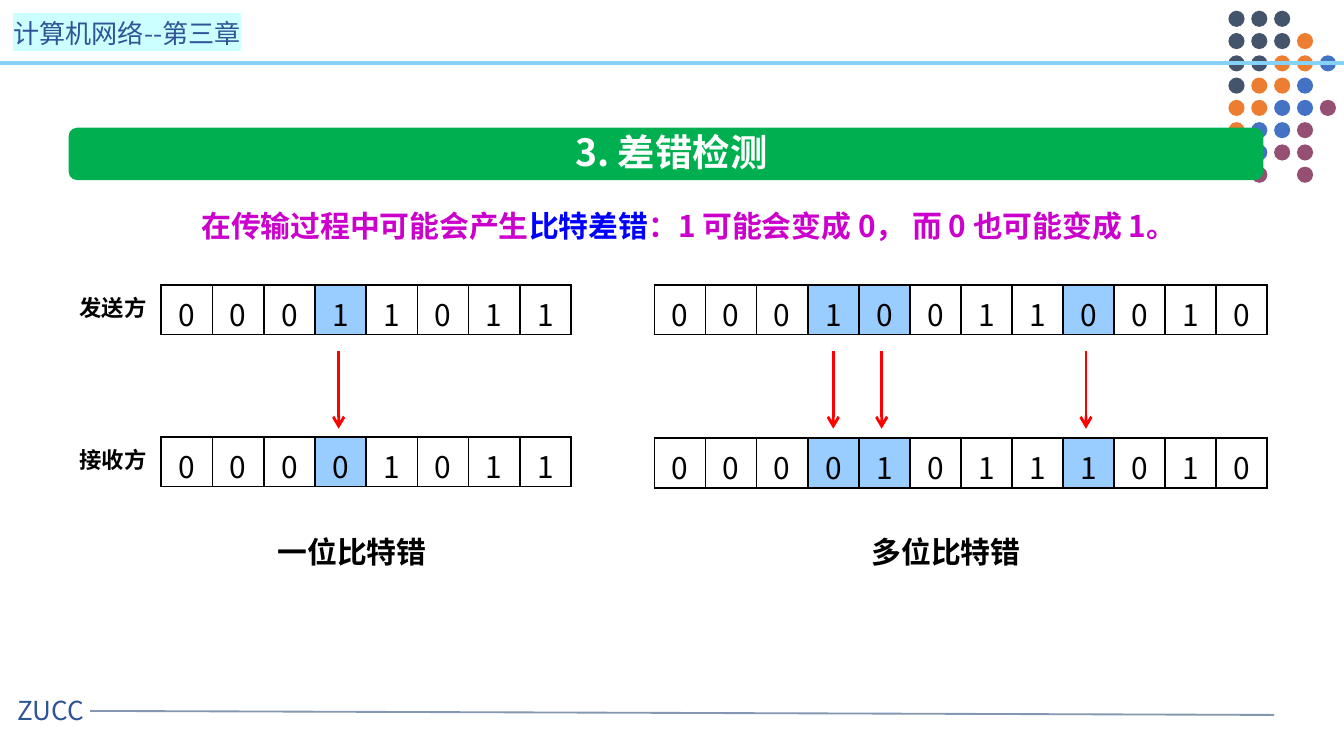
from lxml import etree
from pptx import Presentation
from pptx.dml.color import RGBColor
from pptx.enum.shapes import MSO_CONNECTOR, MSO_SHAPE
from pptx.enum.text import MSO_ANCHOR, MSO_AUTO_SIZE, PP_ALIGN
from pptx.oxml.ns import qn
from pptx.util import Inches, Pt

LINE = MSO_CONNECTOR.STRAIGHT
OVAL, ROUND = MSO_SHAPE.OVAL, MSO_SHAPE.ROUNDED_RECTANGLE
LEFT, MID, RIGHT = PP_ALIGN.LEFT, PP_ALIGN.CENTER, PP_ALIGN.RIGHT
CENTER, TOP = MSO_ANCHOR.MIDDLE, MSO_ANCHOR.TOP
GROW = MSO_AUTO_SIZE.SHAPE_TO_FIT_TEXT

FONT = "Noto Sans CJK SC"
BLACK, WHITE, NAVY = "000000", "FFFFFF", "2F5597"
SLATE, SKY, GREEN, RED = "8497B0", "85D1F7", "00B050", "FF0000"
PINK, BLUE, MARK, GLOW = "CC00CC", "0000FF", "99CCFF", "CCFFFF"


def color(text):
    return RGBColor.from_string(text)


def inch(*sizes):
    return [Inches(size) for size in sizes]


class Painter:
    def __init__(self, slide, font):
        self.slide = slide
        self.shapes = slide.shapes
        self.font = font

    def run(self, para, text, size, tint, bold=False, glow=None):
        run = para.add_run()
        run.text = text
        font = run.font
        font.size, font.bold, font.name = Pt(size), bold, self.font
        font.color.rgb = color(tint)
        props = font._element
        latin = props.find(qn("a:latin"))
        east = etree.Element(qn("a:ea"), typeface=self.font)
        latin.addnext(east)
        if glow:
            light = etree.Element(qn("a:highlight"))
            etree.SubElement(light, qn("a:srgbClr"), val=glow)
            latin.addprevious(light)

    def fill_text(self, box, runs, size, align, bold, wrap, glow=None):
        frame = box.text_frame
        frame.word_wrap = wrap
        frame.auto_size = GROW
        frame.vertical_anchor = TOP
        para = frame.paragraphs[0]
        para.alignment = align
        for text, tint in runs:
            self.run(para, text, size, tint, bold, glow)

    def text(self, area, runs, size, align=MID, bold=True, wrap=False,
             glow=None):
        box = self.shapes.add_textbox(*inch(*area))
        self.fill_text(box, runs, size, align, bold, wrap, glow)

    def title(self, area, text, size, tint):
        box = self.shapes.title
        box.left, box.top, box.width, box.height = inch(*area)
        self.fill_text(box, [(text, tint)], size, MID, True, False)
        # Bring the title in front of its bar
        self.shapes._spTree.append(box._element)

    def shape(self, kind, area, fill):
        shape = self.shapes.add_shape(kind, *inch(*area))
        shape.shadow.inherit = False
        shape.fill.solid()
        shape.fill.fore_color.rgb = color(fill)
        shape.line.fill.background()

    def line(self, start, end, tint, width, arrow=False):
        line = self.shapes.add_connector(LINE, *inch(*start, *end))
        line.line.color.rgb = color(tint)
        line.line.width = Pt(width)
        props = line._element.spPr
        if arrow:
            etree.SubElement(props.find(qn("a:ln")), qn("a:tailEnd"),
                             type="arrow")
        etree.SubElement(props, qn("a:effectLst"))

    def border(self, cell, width):
        props = cell._tc.get_or_add_tcPr()
        for spot, side in enumerate(("lnL", "lnR", "lnT", "lnB")):
            edge = etree.Element(qn("a:" + side), w=str(Pt(width)))
            fill = etree.SubElement(edge, qn("a:solidFill"))
            etree.SubElement(fill, qn("a:srgbClr"), val=BLACK)
            props.insert(spot, edge)

    def bits(self, area, digits, marks):
        frame = self.shapes.add_table(1, len(digits), *inch(*area))
        table = frame.table
        table.first_row = table.horz_banding = False
        for spot, digit in enumerate(digits):
            table.columns[spot].width = Inches(area[2] / len(digits))
            cell = table.cell(0, spot)
            cell.vertical_anchor = CENTER
            cell.margin_top, cell.margin_bottom = inch(0.05, 0)
            if spot in marks:
                cell.fill.solid()
                cell.fill.fore_color.rgb = color(MARK)
            else:
                cell.fill.background()
            self.border(cell, 1)
            para = cell.text_frame.paragraphs[0]
            para.alignment = MID
            self.run(para, digit, 16, BLACK)


def main():
    deck = Presentation()
    # Wide 16:9 page
    deck.slide_width, deck.slide_height = inch(10, 10 * 9 / 16)
    pen = Painter(deck.slides.add_slide(deck.slide_layouts[5]), FONT)

    # Footer and header
    pen.line((0.67, 5.29), (9.48, 5.32), SLATE, 1)
    pen.text((0.03, 5.12, 0.89, 0.34), [("ZUCC", NAVY)], 14, LEFT,
             bold=False, wrap=True)
    pen.text((0, 0.08, 2.16, 0.34), [("计算机网络--第三章", NAVY)], 14, LEFT,
             bold=False, wrap=True, glow=GLOW)

    # Corner dots, one letter per colour
    tints = {"N": "44546A", "O": "ED7D31", "B": "4472C4", "P": "954F72"}
    dots = ("NNN", "NNNO", "NNOOB", "NOOB", "OOBBP", "OBBP", " BPP", " P P")
    step = (1.24 - 0.08) / (len(dots) - 1)
    for row, marks in enumerate(dots):
        for col, mark in enumerate(marks):
            if mark in tints:
                area = (9.14 + 0.17 * col, 0.08 + step * row, 0.12, 0.12)
                pen.shape(OVAL, area, tints[mark])
    pen.line((0, 0.47), (10, 0.47), SKY, 2)

    # Title bar
    pen.shape(ROUND, (0.51, 0.95, 8.89, 0.39), GREEN)
    pen.title((4.12, 0.91, 1.75, 0.44), "3. 差错检测", 20, WHITE)

    # Key sentence
    pen.text((1, 1.5, 8.25, 0.37),
             [("在传输过程中可能会产生", PINK), ("比特差错", BLUE),
              ("：1 可能会变成 0， 而 0 也可能变成 1。", PINK)],
             16, wrap=True)

    # Sent and received bits: left, width, rows, low top, marks, arrows, label
    groups = (
        (1.2, 3.05, "00011011", "00001011", 3.25, (3,), (2.52,),
         "一位比特错", 1.96),
        (4.87, 4.56, "000100110010", "000010111010", 3.26, (3, 4, 8),
         (6.2, 6.56, 8.08), "多位比特错", 6.38),
    )
    for left, width, sent, got, low, marks, arrows, label, place in groups:
        for top, digits in ((2.12, sent), (low, got)):
            pen.bits((left, top, width, 0.37), digits, marks)
        for x in arrows:
            pen.line((x, 2.61), (x, 3.19), RED, 1.5, arrow=True)
        pen.text((place, 3.92, 1.32, 0.37), [(label, BLACK)], 16)

    # Row labels
    for top, label in ((2.14, "发送方"), (3.27, "接收方")):
        pen.text((0.48, top, 0.71, 0.3), [(label, BLACK)], 12, RIGHT)

    deck.save("out.pptx")


if __name__ == "__main__":
    main()
